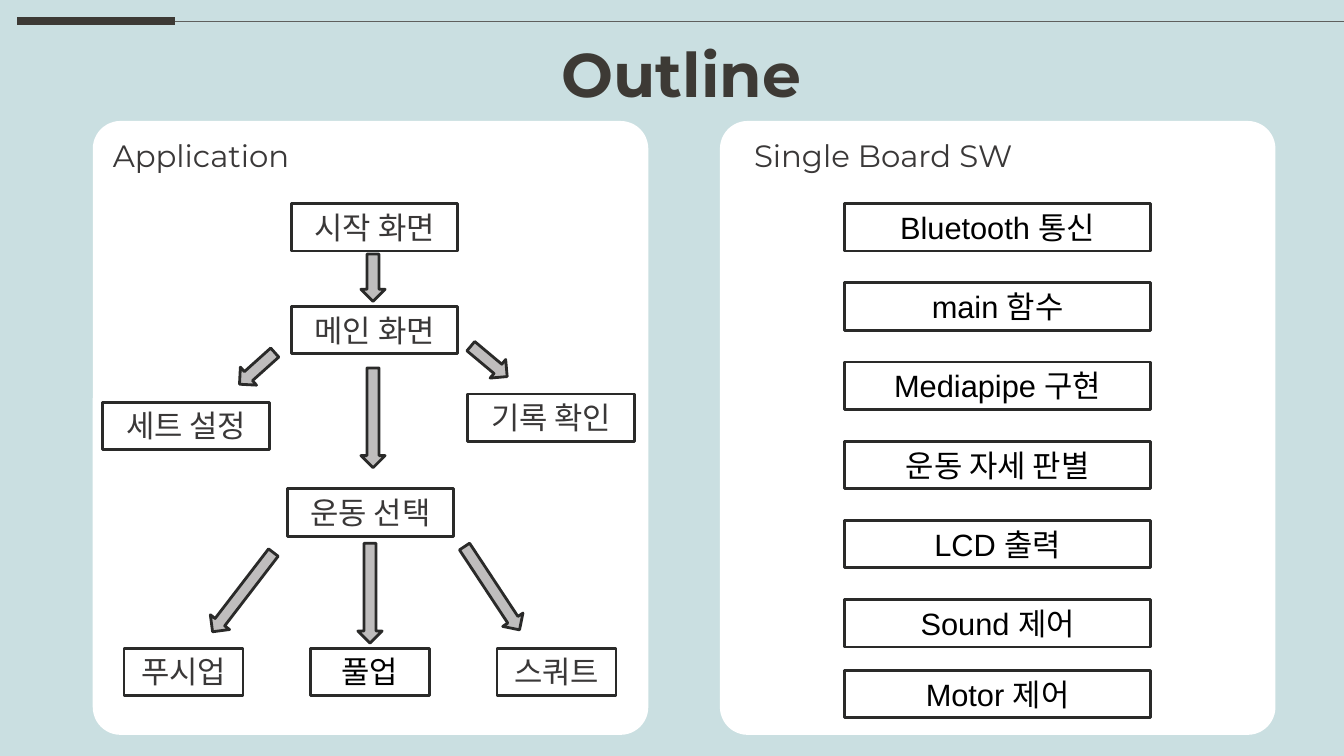
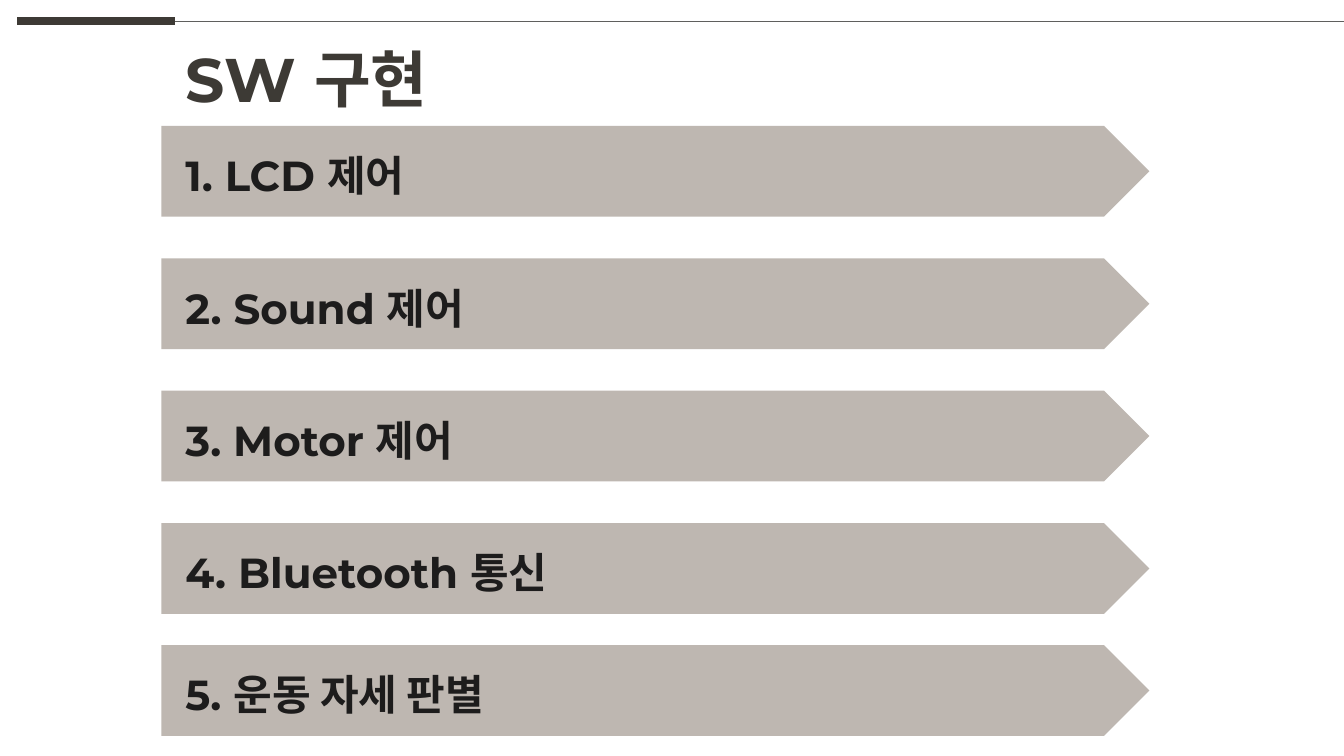
from dataclasses import dataclass

from lxml import etree
from pptx import Presentation
from pptx.dml.color import RGBColor
from pptx.enum import shapes, text
from pptx.oxml import ns
from pptx.util import Inches, Pt

SKY = RGBColor(0xCA, 0xDF, 0xE1)
WHITE = RGBColor(0xFF, 0xFF, 0xFF)
BLACK = RGBColor(0x00, 0x00, 0x00)
TITLE_BROWN = RGBColor(0x3D, 0x3A, 0x35)
RULE_GRAY = RGBColor(0x5F, 0x5F, 0x5D)
LABEL_GRAY = RGBColor(0x3A, 0x38, 0x38)
OUTLINE = RGBColor(0x2A, 0x2A, 0x29)
ARROW_GRAY = RGBColor(0xBF, 0xBD, 0xBD)
BANNER_TAUPE = RGBColor(0xBE, 0xB7, 0xB1)
BANNER_TEXT = RGBColor(0x1D, 0x1C, 0x1C)
ROW_HEIGHT = 0.47


@dataclass(frozen=True)
class TextStyle:
    size: int
    font: str
    color: RGBColor
    bold: bool = False


@dataclass(frozen=True)
class Step:
    label: str
    left: float
    top: float
    width: float
    style: TextStyle


@dataclass(frozen=True)
class FlowArrow:
    left: float
    top: float
    height: float
    rotation: float = 0


TITLE = TextStyle(44, "Montserrat", TITLE_BROWN, True)
LABEL = TextStyle(22, "Montserrat", LABEL_GRAY)
PLAIN = TextStyle(22, "Arial", BLACK)
BANNER = TextStyle(30, "Montserrat", BANNER_TEXT, True)

SCREEN_STEPS = [
    Step("시작 화면", 2.89, 2.02, 1.65, LABEL),
    Step("메인 화면", 2.89, 3.04, 1.65, LABEL),
    Step("운동 선택", 2.85, 4.85, 1.65, LABEL),
    Step("기록 확인", 4.64, 3.91, 1.65, LABEL),
    Step("세트 설정", 1.02, 3.99, 1.65, LABEL),
]
EXERCISES = [("푸시업", LABEL), ("풀업", PLAIN), ("스쿼트", LABEL)]
MODULES = ["Bluetooth 통신", "main 함수", "Mediapipe 구현", "운동 자세 판별",
           "LCD 출력", "Sound 제어", "Motor 제어"]
FLOW_ARROWS = [
    FlowArrow(3.58, 2.52, 0.47),
    FlowArrow(3.58, 3.65, 0.99),
    FlowArrow(3.55, 5.39, 0.99),
    FlowArrow(2.43, 3.42, 0.47, 48.1),
    FlowArrow(4.73, 3.35, 0.47, 309.9),
    FlowArrow(2.29, 5.38, 0.99, 37.5),
    FlowArrow(4.76, 5.34, 0.99, 326.6),
]
BANNERS = ["1. LCD 제어", "2. Sound 제어", "3. Motor 제어", "4. Bluetooth 통신",
           "5. 운동 자세 판별"]


def spread(first: float, last: float, count: int) -> list[float]:
    return [first + (last - first) * i / (count - 1) for i in range(count)]


def write(box, words: str, style: TextStyle, align=text.PP_ALIGN.LEFT,
          anchor=text.MSO_ANCHOR.TOP) -> None:
    frame = box.text_frame
    frame.word_wrap = True
    frame.auto_size = text.MSO_AUTO_SIZE.NONE
    frame.vertical_anchor = anchor
    para = frame.paragraphs[0]
    para.text = words
    para.alignment = align
    para.font.size = Pt(style.size)
    para.font.name = style.font
    para.font.color.rgb = style.color
    para.font.bold = style.bold


def add_block(page, kind, left: float, top: float, width: float, height: float,
              fill: RGBColor | None = None, outlined: bool = False):
    block = page.shapes.add_shape(kind, Inches(left), Inches(top), Inches(width), Inches(height))
    block.shadow.inherit = False
    if fill is None:
        block.fill.background()
    else:
        block.fill.solid()
        block.fill.fore_color.rgb = fill
    if outlined:
        block.line.color.rgb = OUTLINE
        block.line.width = Pt(2)
    else:
        block.line.fill.background()
    return block


def add_rule(page, start: float, end: float, color: RGBColor, weight: float) -> None:
    rule = page.shapes.add_connector(shapes.MSO_CONNECTOR.STRAIGHT, Inches(start), Inches(0.21),
                                     Inches(end), Inches(0.21))
    rule.line.color.rgb = color
    rule.line.width = Pt(weight)
    etree.SubElement(rule._element.spPr, ns.qn("a:effectLst"))


def add_page(deck, title: str, left: float, top: float, width: float, background: RGBColor):
    page = deck.slides.add_slide(deck.slide_layouts[5])
    page.background.fill.solid()
    page.background.fill.fore_color.rgb = background
    add_rule(page, 0.17, 1.74, TITLE_BROWN, 6)
    add_rule(page, 1.74, 13.33, RULE_GRAY, 0.75)
    box = page.shapes.title
    box.left, box.top = Inches(left), Inches(top)
    box.width, box.height = Inches(width), Inches(0.84)
    write(box, title, TITLE)
    return page


def add_panel(page, left: float, heading: str, heading_left: float) -> None:
    panel = add_block(page, shapes.MSO_SHAPE.ROUNDED_RECTANGLE, left, 1.2, 5.51, 6.09, WHITE)
    panel.adjustments[0] = 0.05
    box = page.shapes.add_textbox(Inches(heading_left), Inches(1.31), Inches(4.65),
                                  Inches(ROW_HEIGHT))
    write(box, heading, LABEL)


def add_step(page, step: Step) -> None:
    box = add_block(page, shapes.MSO_SHAPE.RECTANGLE, step.left, step.top, step.width,
                    ROW_HEIGHT, outlined=True)
    write(box, step.label, step.style, text.PP_ALIGN.CENTER)


def add_arrow(page, arrow: FlowArrow) -> None:
    block = add_block(page, shapes.MSO_SHAPE.DOWN_ARROW, arrow.left, arrow.top, 0.24,
                      arrow.height, ARROW_GRAY, outlined=True)
    block.rotation = arrow.rotation


def add_banner(page, words: str, top: float) -> None:
    banner = add_block(page, shapes.MSO_SHAPE.PENTAGON, 1.6, top, 9.8, 0.9, BANNER_TAUPE)
    write(banner, words, BANNER, anchor=text.MSO_ANCHOR.MIDDLE)
    banner.text_frame.margin_left = Inches(0.24)
    banner.text_frame.margin_top = Inches(0.12)


def build_outline(deck) -> None:
    page = add_page(deck, "Outline", 5.47, 0.31, 7.5, SKY)
    add_panel(page, 0.92, "Application", 1.02)
    add_panel(page, 7.14, "Single Board SW", 7.38)
    exercises = [Step(label, left, 6.43, 1.18, style)
                 for (label, style), left in zip(EXERCISES, spread(1.23, 4.93, 3))]
    module_tops = spread(2.02, 5.95, 6) + [6.65]
    modules = [Step(label, 8.38, top, 3.03, PLAIN) for label, top in zip(MODULES, module_tops)]
    for step in SCREEN_STEPS + exercises + modules:
        add_step(page, step)
    for arrow in FLOW_ARROWS:
        add_arrow(page, arrow)


def build_software(deck) -> None:
    page = add_page(deck, "SW 구현", 1.74, 0.36, 9.5, WHITE)
    for words, top in zip(BANNERS, spread(1.25, 5.19, 4) + [6.4]):
        add_banner(page, words, top)


def main() -> None:
    deck = Presentation()
    deck.slide_width, deck.slide_height = Inches(13.33), Inches(7.5)
    build_outline(deck)
    build_software(deck)
    deck.save("out.pptx")


if __name__ == "__main__":
    main()
